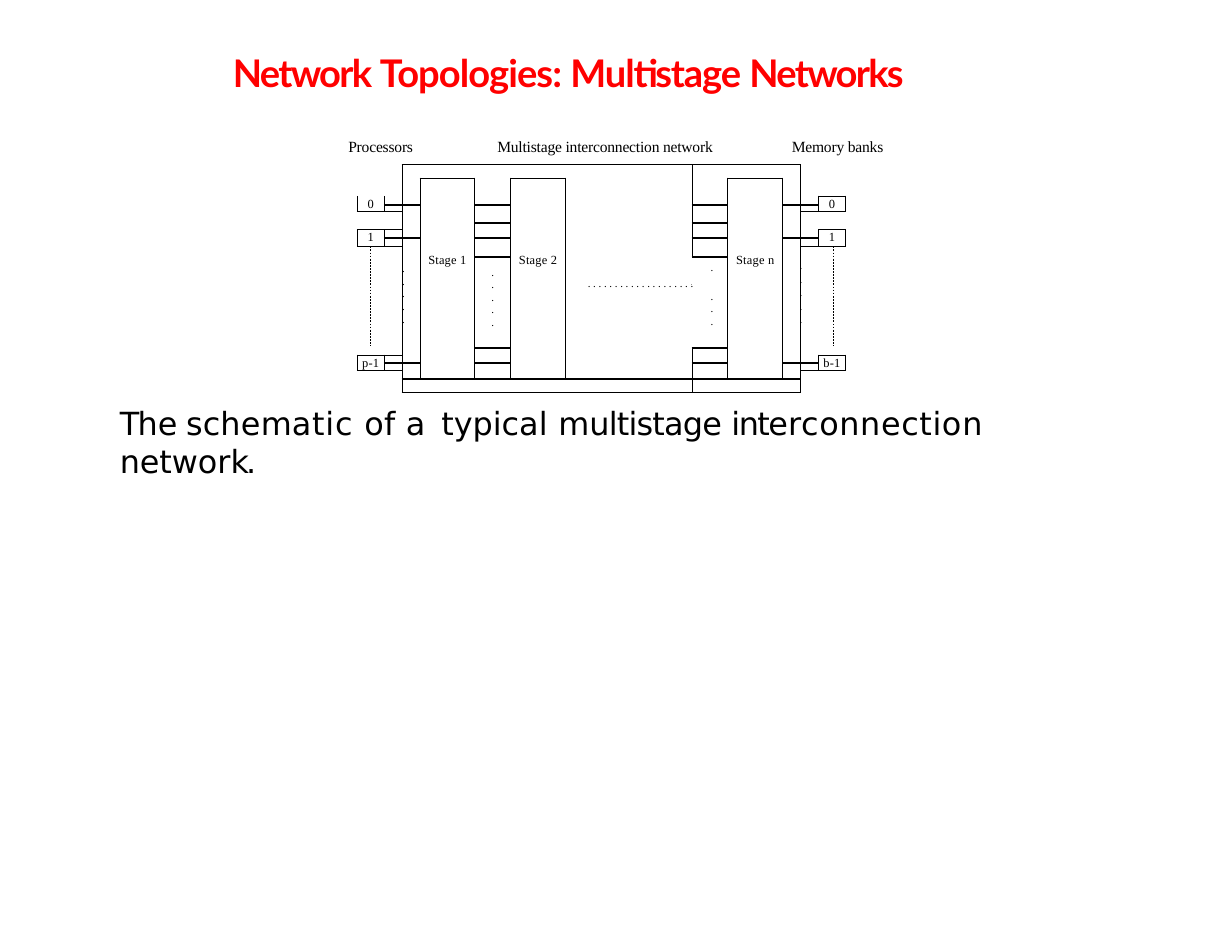
from dataclasses import dataclass
from typing import NamedTuple

from lxml.etree import SubElement
from pptx import Presentation
from pptx.dml.color import RGBColor
from pptx.enum.dml import MSO_LINE
from pptx.enum.shapes import MSO_CONNECTOR
from pptx.enum.text import MSO_ANCHOR, MSO_AUTO_SIZE, PP_ALIGN
from pptx.oxml.ns import qn
from pptx.util import Inches, Pt


@dataclass(frozen=True)
class Theme:
    ink: RGBColor = RGBColor(0, 0, 0)
    red: RGBColor = RGBColor(255, 0, 0)
    head: str = "Lato"
    sans: str = "DejaVu Sans"
    serif: str = "Times New Roman"
    title: float = 24.5
    body: float = 20.5
    label: float = 10
    cell: float = 8
    dot: float = 7
    thin: float = 0.5
    thick: float = 1.5


class Part(NamedTuple):
    text: str
    track: float = 0  # letter spacing in points


class Label(NamedTuple):
    text: str
    left: float
    width: float


class Block(NamedTuple):
    row: int
    col: int
    rows: int = 1
    cols: int = 1
    edges: str = ""  # l r t b; a capital letter is a thick edge


T = Theme()
DOTS = 5
COLS = [.24, .16, .16, .49, .32, .49, 1.13, .32, .49, .16, .16, .24]
ROWS = [.12, .16, .08, .06, .1, .06, .08, .07, .1, .81, .06, .07, .07, .08, .12]
PORTS = [2, 6, 11]  # first row of each processor or memory box


def style(par, size: float, face: str = T.serif, color=T.ink, bold=False) -> None:
    font = par.font
    font.size, font.name, font.bold = Pt(size), face, bold
    font.color.rgb = color


def fill(par, parts: list[Part]) -> None:
    for part in parts:
        run = par.add_run()
        run.text = part.text
        if part.track:
            run.font._element.set("spc", str(round(part.track * 100)))


def frame(shape, top: float) -> None:
    tf = shape.text_frame
    tf.word_wrap, tf.auto_size = True, MSO_AUTO_SIZE.NONE
    tf.vertical_anchor = MSO_ANCHOR.TOP
    tf.margin_left = tf.margin_right = tf.margin_bottom = 0
    tf.margin_top = Inches(top)


def place(shape, left: float, top: float, width: float, height: float) -> None:
    shape.left, shape.top = Inches(left), Inches(top)
    shape.width, shape.height = Inches(width), Inches(height)


def box(slide, left: float, top: float, width: float, height: float, inset: float):
    shape = slide.shapes.add_textbox(0, 0, 0, 0)
    place(shape, left, top, width, height)
    frame(shape, inset)
    return shape.text_frame


def dots(tf, align=PP_ALIGN.LEFT, count: int = DOTS, fresh: bool = True) -> None:
    for i in range(count):
        par = tf.paragraphs[0] if fresh and i == 0 else tf.add_paragraph()
        if i or not fresh:
            par.space_before = Pt(0.3)
        par.alignment = align
        fill(par, [Part(".")])
        style(par, T.dot)


def rule(cell, edges: str) -> None:
    props = cell._tc.get_or_add_tcPr()
    lines = []
    for side in "LRTB":
        if side not in edges.upper():
            continue
        width = T.thick if side in edges else T.thin
        line = SubElement(props, qn(f"a:ln{side}"), w=str(Pt(width)))
        paint = SubElement(line, qn("a:solidFill"))
        SubElement(paint, qn("a:srgbClr"), val=str(T.ink))
        lines.append(line)
    for i, line in enumerate(lines):
        props.insert(i, line)


def blocks() -> list[Block]:
    out = [Block(0, 2, 1, 5, "lt"), Block(0, 7, 1, 3, "ltr"),
           Block(14, 2, 1, 5, "lTb"), Block(14, 7, 1, 3, "lTrb"),
           Block(1, 6, 8, 1, "lr"), Block(9, 6, 1, 2, "lr"), Block(10, 6, 4, 1, "lr")]
    # Stages
    out += [Block(1, col, 13, 1, "lrtb") for col in (3, 5, 8)]
    # Links between stages
    for col in (4, 7):
        out += [Block(1, col, 2, 1, "lrB")]
        out += [Block(row, col, 2, 1, "lTrB") for row in (3, 5, 7, 10)]
        out += [Block(12, col, 2, 1, "lTr")]
    out += [Block(9, 4, edges="lTrB")]
    # Links from the outer frame to the stages
    for col in (2, 9):
        out += [Block(1, col, 2, 1, "lrB"), Block(3, col, 4, 1, "lTrB"),
                Block(7, col, 5, 1, "lTrB"), Block(12, col, 2, 1, "lTr")]
    # Ports and the gaps between them
    for first, port, wire in ((0, 0, 1), (10, 11, 10)):
        side = "r" if first == 0 else "l"
        for row in PORTS:
            top = "" if first == 0 and row == 2 else "t"
            out += [Block(row, port, 2, 1, "lrb" + top),
                    Block(row, wire, edges="lrB"), Block(row + 1, wire, edges="lTrb")]
        out += [Block(row, first, n, 2, side) for row, n in ((0, 2), (4, 2), (8, 3), (13, 2))]
    return out


def note(cell, text: str, top: float, align=PP_ALIGN.CENTER) -> None:
    cell.margin_top = Inches(top)
    par = cell.text_frame.paragraphs[0]
    par.alignment = align
    fill(par, [Part(text, 0.1 if len(text) > 1 else 0)])
    style(par, T.cell)


def trail(cell) -> None:
    """Right-hand dots with the row of dots for the omitted stages."""
    cell.margin_top, cell.margin_right = Inches(0.04), Inches(0.13)
    tf = cell.text_frame
    dots(tf, PP_ALIGN.RIGHT, 1)
    par = tf.add_paragraph()
    par.line_spacing, par.space_before = Pt(7.1), Pt(3.2)
    props = par._p.get_or_add_pPr()
    props.set("marL", str(Inches(0.2)))
    SubElement(SubElement(props, qn("a:tabLst")), qn("a:tab"), pos=str(Inches(1.29)), algn="l")
    fill(par, [Part(" ".join("." * 20) + "\t"), Part(".")])
    par.runs[1].font._element.set("baseline", "24000")
    style(par, T.dot)
    dots(tf, PP_ALIGN.RIGHT, 3, fresh=False)


def network(slide) -> None:
    shape = slide.shapes.add_table(len(ROWS), len(COLS), Inches(3.19), Inches(1.47),
                                   Inches(sum(COLS)), Inches(sum(ROWS)))
    grid = shape.table
    grid.first_row = grid.horz_banding = False
    grid._tbl.tblPr[0].text = "{2D5ABB26-0587-4C30-8999-92F81FD0307C}"  # no style, no grid
    for col, width in zip(grid.columns, COLS):
        col.width = Inches(width)
    for row, height in zip(grid.rows, ROWS):
        row.height = Inches(height)
    for cell in grid.iter_cells():
        cell.margin_left = cell.margin_right = cell.margin_top = cell.margin_bottom = 0
        cell.fill.background()
    for row, col, rows, cols, edges in blocks():
        cell = grid.cell(row, col)
        if rows * cols > 1:
            cell.merge(grid.cell(row + rows - 1, col + cols - 1))
        rule(cell, edges)
    # Texts
    for col, text in zip((3, 5, 8), ("Stage 1", "Stage 2", "Stage n")):
        note(grid.cell(1, col), text, 0.67)
    for col, last in ((0, "p-1"), (11, "b-1")):
        for row, text in zip(PORTS, ("0", "1", last)):
            note(grid.cell(row, col), text, 0.01)
    for row, col, top, align in ((7, 2, 0.22, PP_ALIGN.LEFT), (9, 4, 0.08, PP_ALIGN.CENTER)):
        grid.cell(row, col).margin_top = Inches(top)
        dots(grid.cell(row, col).text_frame, align)
    trail(grid.cell(9, 6))
    # Empty cells must not stretch their rows
    for cell in grid.iter_cells():
        if not cell.text_frame.text:
            SubElement(cell.text_frame.paragraphs[0]._p, qn("a:endParaRPr"), sz="100")


def main() -> None:
    deck = Presentation()
    deck.slide_width, deck.slide_height = Inches(11), Inches(8.5)
    slide = deck.slides.add_slide(deck.slide_layouts[5])

    # Title
    title = slide.shapes.title
    place(title, 2.08, 0.4, 6.84, 0.44)
    frame(title, 0.04)
    par = title.text_frame.paragraphs[0]
    par.alignment = PP_ALIGN.LEFT
    fill(par, [Part("Network ", -1.1), Part("Topologies: ", -0.6),
               Part("Multistage ", -0.7), Part("Networks", -1.1)])
    style(par, T.title, T.head, T.red, True)

    # Diagram
    network(slide)
    for x in (3.31, 7.44):
        line = slide.shapes.add_connector(MSO_CONNECTOR.STRAIGHT, Inches(x), Inches(2.2),
                                          Inches(x), Inches(3.09))
        line.line.color.rgb, line.line.width = T.ink, Pt(0.29)
        line.line.dash_style = MSO_LINE.DASH
        SubElement(line._element.spPr, qn("a:effectLst"))
    dots(box(slide, 7.14, 2.29, 0.05, 0.63, 0.02))
    for text, left, width in (Label("Processors", 3.1, 0.62), Label("Memory banks", 7.06, 0.86),
                              Label("Multistage interconnection network", 4.43, 1.99)):
        par = box(slide, left + 0.01, 1.2, width, 0.19, 0.02).paragraphs[0]
        fill(par, [Part(text, -0.1)])
        style(par, T.label)

    # Caption
    par = box(slide, 1.07, 3.57, 8.76, 0.37, 0.03).paragraphs[0]
    fill(par, [Part("Th", -1.1), Part("e ", -1), Part("sche", 0.1), Part("m", -0.5),
               Part("atic ", 0.5), Part("of ", 0.1), Part("a ", 1.8), Part("typica"),
               Part("l ", 0.1), Part("m", -0.9), Part("ultistage ", -0.5), Part("inte", -1),
               Part("r", -1.1), Part("connectio", 0.4), Part("n ", 0.6), Part("net", -0.1),
               Part("w", -0.6), Part("o", -0.8), Part("r", -0.2), Part("k.", -1.9)])
    style(par, T.body, T.sans)

    deck.save("out.pptx")


if __name__ == "__main__":
    main()
